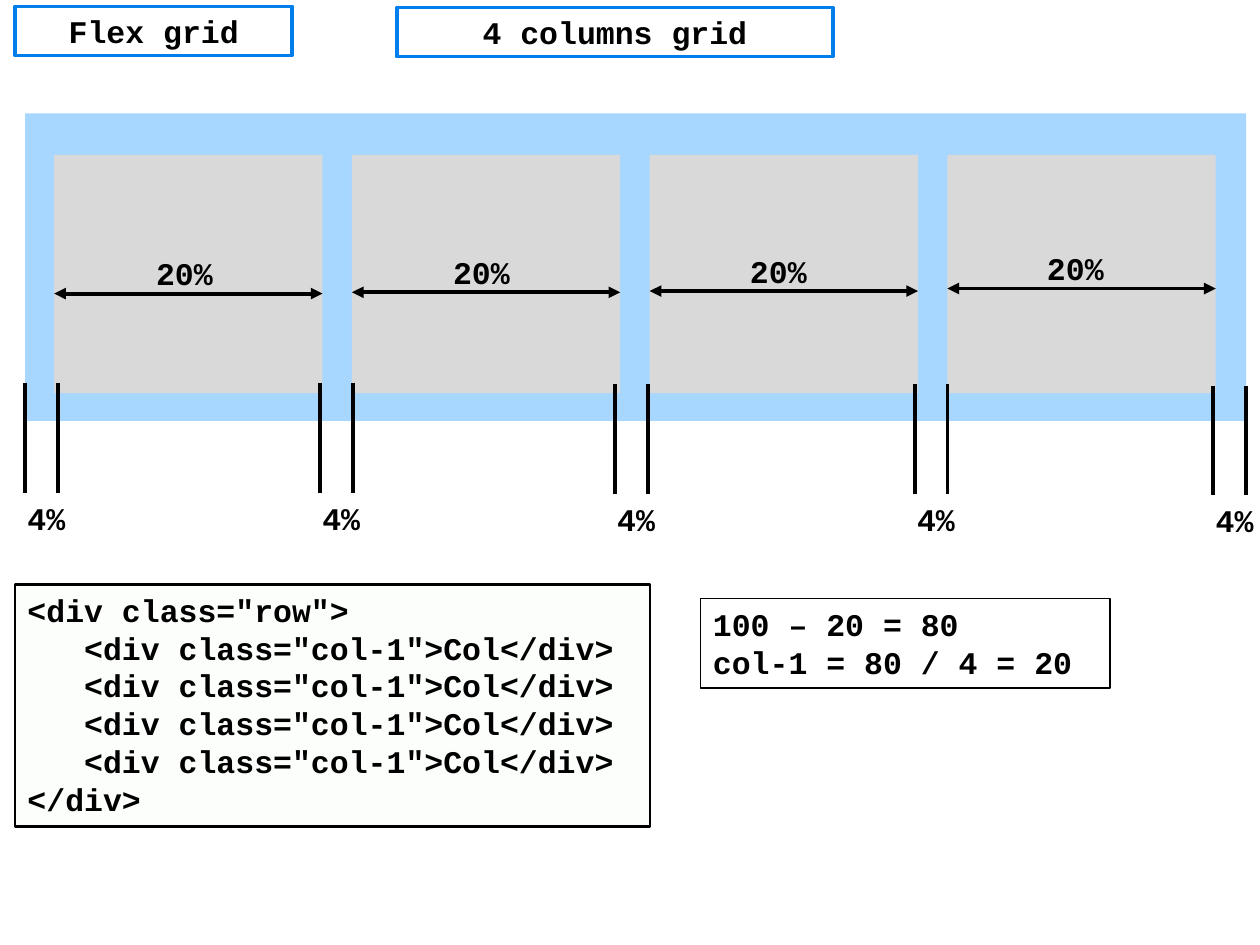
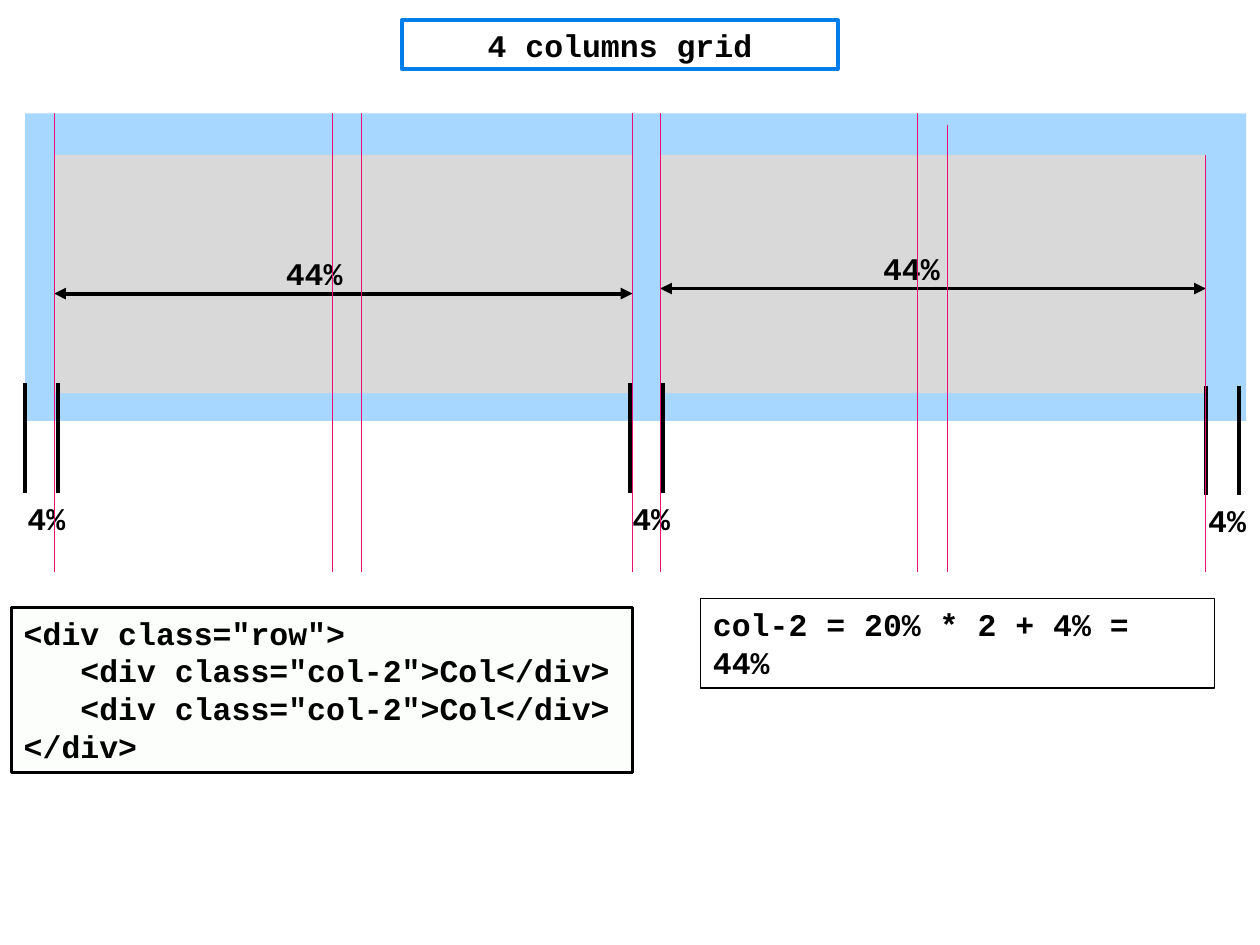
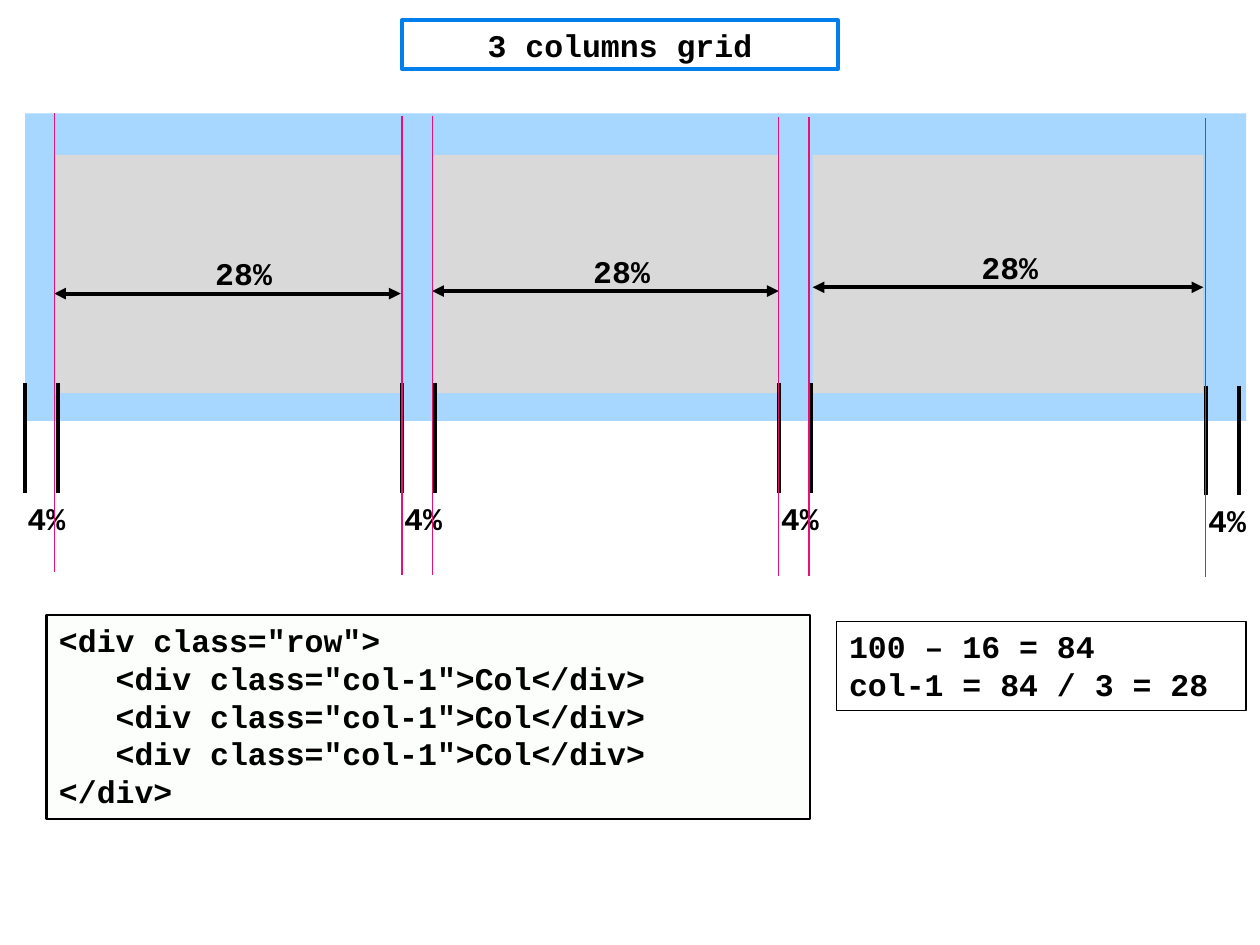
from dataclasses import dataclass

from lxml.etree import SubElement
from pptx import Presentation
from pptx.dml.color import RGBColor
from pptx.enum.shapes import MSO_CONNECTOR, MSO_SHAPE
from pptx.enum.text import MSO_ANCHOR, MSO_AUTO_SIZE, PP_ALIGN
from pptx.oxml.ns import qn
from pptx.util import Inches, Pt

FONT = "Courier New"
FONT_SIZE = 18
BLACK = "000000"
WHITE = "FFFFFF"
TITLE_BLUE = "007EEB"
ROW_BLUE = "A7D6FF"
COLUMN_GREY = "D9D9D9"
GUIDE_PINK = "EA0F77"
CODE_GREEN = "E5F6D8"
CODE_OPACITY = 8

COLUMN_TOP, COLUMN_HEIGHT = 1.23, 1.89
GUTTER_WIDTH, GUTTER_HEIGHT = 0.26, 0.87
LABEL_HEIGHT = 0.4
CODE_INDENT = 0.45


@dataclass(frozen=True)
class Box:
    """A rectangle in inches."""
    left: float
    top: float
    width: float
    height: float


@dataclass(frozen=True)
class Column:
    """A grid column with its width arrow and the place of its label."""
    left: float
    width: float
    arrow_top: float
    label_left: float


@dataclass(frozen=True)
class Gutter:
    """A gap between columns, marked by two lines."""
    left: float
    top: float


@dataclass(frozen=True)
class Guide:
    """A thin vertical alignment line."""
    left: float
    top: float
    bottom: float


@dataclass(frozen=True)
class TextBlock:
    """A bordered box with lines of text."""
    box: Box
    lines: list[str]


@dataclass(frozen=True)
class GridSlide:
    """Everything that one grid slide shows."""
    titles: list[TextBlock]
    percent: str
    columns: list[Column]
    gutters: list[Gutter]
    guides: list[Guide]
    code: TextBlock
    formula: TextBlock


ROW = Box(0.2, 0.9, 9.69, 2.44)
TITLE_BOX = Box(3.19, 0.16, 3.46, 0.39)


def color(value: str) -> RGBColor:
    """Turn a hex string into a colour."""
    return RGBColor.from_string(value)


def row_code(class_name: str, count: int) -> list[str]:
    """Give the markup of a row with equal columns."""
    cell = f'<div class="{class_name}">Col</div>'
    return ['<div class="row">'] + [cell] * count + ["</div>"]


def write_line(paragraph, text: str) -> None:
    """Add one run in the shared style."""
    run = paragraph.add_run()
    run.text = text
    run.font.name = FONT
    run.font.size = Pt(FONT_SIZE)
    run.font.bold = True
    run.font.color.rgb = color(BLACK)


def add_rectangle(shapes, box: Box, fill: str = "", line: str = "", line_width: float = 1):
    """Draw a rectangle; an empty colour means none."""
    shape = shapes.add_shape(MSO_SHAPE.RECTANGLE, Inches(box.left), Inches(box.top),
                             Inches(box.width), Inches(box.height))
    shape.shadow.inherit = False
    if fill:
        shape.fill.solid()
        shape.fill.fore_color.rgb = color(fill)
    else:
        shape.fill.background()
    if line:
        shape.line.color.rgb = color(line)
        shape.line.width = Pt(line_width)
    else:
        shape.line.fill.background()
    return shape


def add_line(shapes, start: tuple[float, float], end: tuple[float, float],
             line: str, width: float, arrows: bool = False) -> None:
    """Draw a straight line, with arrowheads at both ends if asked."""
    connector = shapes.add_connector(MSO_CONNECTOR.STRAIGHT, Inches(start[0]), Inches(start[1]),
                                     Inches(end[0]), Inches(end[1]))
    connector.line.color.rgb = color(line)
    connector.line.width = Pt(width)
    if arrows:
        outline = connector.line._get_or_add_ln()
        for tag in ("a:headEnd", "a:tailEnd"):
            SubElement(outline, qn(tag), type="triangle")
    SubElement(connector._element.spPr, qn("a:effectLst"))


def add_label(shapes, left: float, top: float, width: float, text: str, wrap: bool) -> None:
    """Write a one-line percentage."""
    label = shapes.add_textbox(Inches(left), Inches(top), Inches(width), Inches(LABEL_HEIGHT))
    label.text_frame.word_wrap = wrap
    write_line(label.text_frame.paragraphs[0], text)


def fill_text(shape, lines: list[str], alignment: PP_ALIGN, anchor: MSO_ANCHOR) -> list:
    """Write lines into a shape and return their paragraphs."""
    frame = shape.text_frame
    frame.word_wrap = True
    frame.vertical_anchor = anchor
    paragraphs = []
    for index, text in enumerate(lines):
        paragraph = frame.add_paragraph() if index else frame.paragraphs[0]
        paragraph.alignment = alignment
        write_line(paragraph, text)
        paragraphs.append(paragraph)
    return paragraphs


def add_title(shapes, title: TextBlock) -> None:
    """Draw a centred title in a blue frame."""
    shape = add_rectangle(shapes, title.box, WHITE, TITLE_BLUE, 2)
    fill_text(shape, title.lines, PP_ALIGN.CENTER, MSO_ANCHOR.MIDDLE)


def add_code(shapes, code: TextBlock) -> None:
    """Draw the markup box, with the inner lines indented."""
    shape = add_rectangle(shapes, code.box, CODE_GREEN, BLACK, 1.5)
    fill_color = shape._element.spPr.find(qn("a:solidFill"))[0]
    SubElement(fill_color, qn("a:alpha"), val=str(CODE_OPACITY * 1000))
    paragraphs = fill_text(shape, code.lines, PP_ALIGN.LEFT, MSO_ANCHOR.TOP)
    shape.text_frame.auto_size = MSO_AUTO_SIZE.SHAPE_TO_FIT_TEXT
    for paragraph in paragraphs[1:-1]:
        paragraph._p.get_or_add_pPr().set("marL", str(Inches(CODE_INDENT)))


def add_formula(shapes, formula: TextBlock) -> None:
    """Draw the box that works out the column width."""
    shape = add_rectangle(shapes, formula.box, "", BLACK, 0.75)
    fill_text(shape, formula.lines, PP_ALIGN.LEFT, MSO_ANCHOR.TOP)
    shape.text_frame.auto_size = MSO_AUTO_SIZE.SHAPE_TO_FIT_TEXT


def add_width_arrow(shapes, column: Column, percent: str) -> None:
    """Group a double arrow with its percentage."""
    group = shapes.add_group_shape()
    add_line(group.shapes, (column.left, column.arrow_top),
             (column.left + column.width, column.arrow_top), BLACK, 2.25, arrows=True)
    add_label(group.shapes, column.label_left, column.arrow_top - 0.36, 0.71, percent, True)


def add_gutter(shapes, gutter: Gutter) -> None:
    """Group the two lines of a gutter with its percentage."""
    group = shapes.add_group_shape()
    bottom = gutter.top + GUTTER_HEIGHT
    for left in (gutter.left, gutter.left + GUTTER_WIDTH):
        add_line(group.shapes, (left, gutter.top), (left, bottom), BLACK, 2.25)
    add_label(group.shapes, gutter.left - 0.08, bottom, 0.5, "4%", False)


def add_grid_slide(presentation, grid: GridSlide) -> None:
    """Build one slide from its description."""
    shapes = presentation.slides.add_slide(presentation.slide_layouts[6]).shapes
    add_code(shapes, grid.code)
    add_rectangle(shapes, ROW, ROW_BLUE)
    for column in grid.columns:
        box = Box(column.left, COLUMN_TOP, column.width, COLUMN_HEIGHT)
        add_rectangle(shapes, box, COLUMN_GREY)
    for column in grid.columns:
        add_width_arrow(shapes, column, grid.percent)
    for gutter in grid.gutters:
        add_gutter(shapes, gutter)
    for guide in grid.guides:
        add_line(shapes, (guide.left, guide.top), (guide.left, guide.bottom), GUIDE_PINK, 0.75)
    for title in grid.titles:
        add_title(shapes, title)
    add_formula(shapes, grid.formula)


FOUR_COLUMNS = GridSlide(
    titles=[TextBlock(Box(0.12, 0.05, 2.2, 0.39), ["Flex grid"]),
            TextBlock(Box(3.15, 0.06, 3.46, 0.39), ["4 columns grid"])],
    percent="20%",
    columns=[Column(0.43 + 2.363 * index, 2.13, arrow_top, 1.14 + 2.357 * index)
             for index, arrow_top in enumerate((2.33, 2.32, 2.31, 2.29))],
    gutters=[Gutter(0.2, 3.04), Gutter(2.54, 3.04), Gutter(4.88, 3.05),
             Gutter(7.26, 3.05), Gutter(9.63, 3.06)],
    guides=[],
    code=TextBlock(Box(0.12, 4.64, 5.04, 1.92), row_code("col-1", 4)),
    formula=TextBlock(Box(5.56, 4.75, 3.25, 0.71), ["100 – 20 = 80", "col-1 = 80 / 4 = 20"]),
)

DOUBLE_COLUMNS = GridSlide(
    titles=[TextBlock(TITLE_BOX, ["4 columns grid"])],
    percent="44%",
    columns=[Column(0.43, 4.59, 2.33, 2.17), Column(5.24, 4.33, 2.29, 6.91)],
    gutters=[Gutter(0.2, 3.04), Gutter(5, 3.04), Gutter(9.57, 3.06)],
    guides=[Guide(left, 0.9, 4.54) for left in (0.43, 2.64, 2.87, 5.02, 5.24, 7.28)]
    + [Guide(7.52, 0.99, 4.54), Guide(9.57, 1.23, 4.54)],
    code=TextBlock(Box(0.09, 4.82, 4.93, 1.31), row_code("col-2", 2)),
    formula=TextBlock(Box(5.56, 4.75, 4.08, 0.71), ["col-2 = 20% * 2 + 4% = 44%"]),
)

THREE_COLUMNS = GridSlide(
    titles=[TextBlock(TITLE_BOX, ["3 columns grid"])],
    percent="28%",
    columns=[Column(0.43, 2.75, 2.33, 1.61), Column(3.43, 2.75, 2.31, 4.61),
             Column(6.45, 3.1, 2.28, 7.69)],
    gutters=[Gutter(0.2, 3.04), Gutter(3.19, 3.04), Gutter(6.18, 3.04), Gutter(9.57, 3.06)],
    guides=[Guide(left, top, top + 3.64)
            for left, top in ((0.43, 0.9), (3.19, 0.92), (3.43, 0.92),
                              (6.18, 0.93), (6.42, 0.93), (9.57, 0.94))],
    code=TextBlock(Box(0.37, 4.88, 6.06, 1.62), row_code("col-1", 3)),
    formula=TextBlock(Box(6.64, 4.93, 3.25, 0.71), ["100 – 16 = 84", "col-1 = 84 / 3 = 28"]),
)


def main() -> None:
    """Build the presentation and save it."""
    presentation = Presentation()
    presentation.slide_width = Inches(10)
    presentation.slide_height = Inches(7.5)
    for grid in (FOUR_COLUMNS, DOUBLE_COLUMNS, THREE_COLUMNS):
        add_grid_slide(presentation, grid)
    presentation.save("out.pptx")


main()
